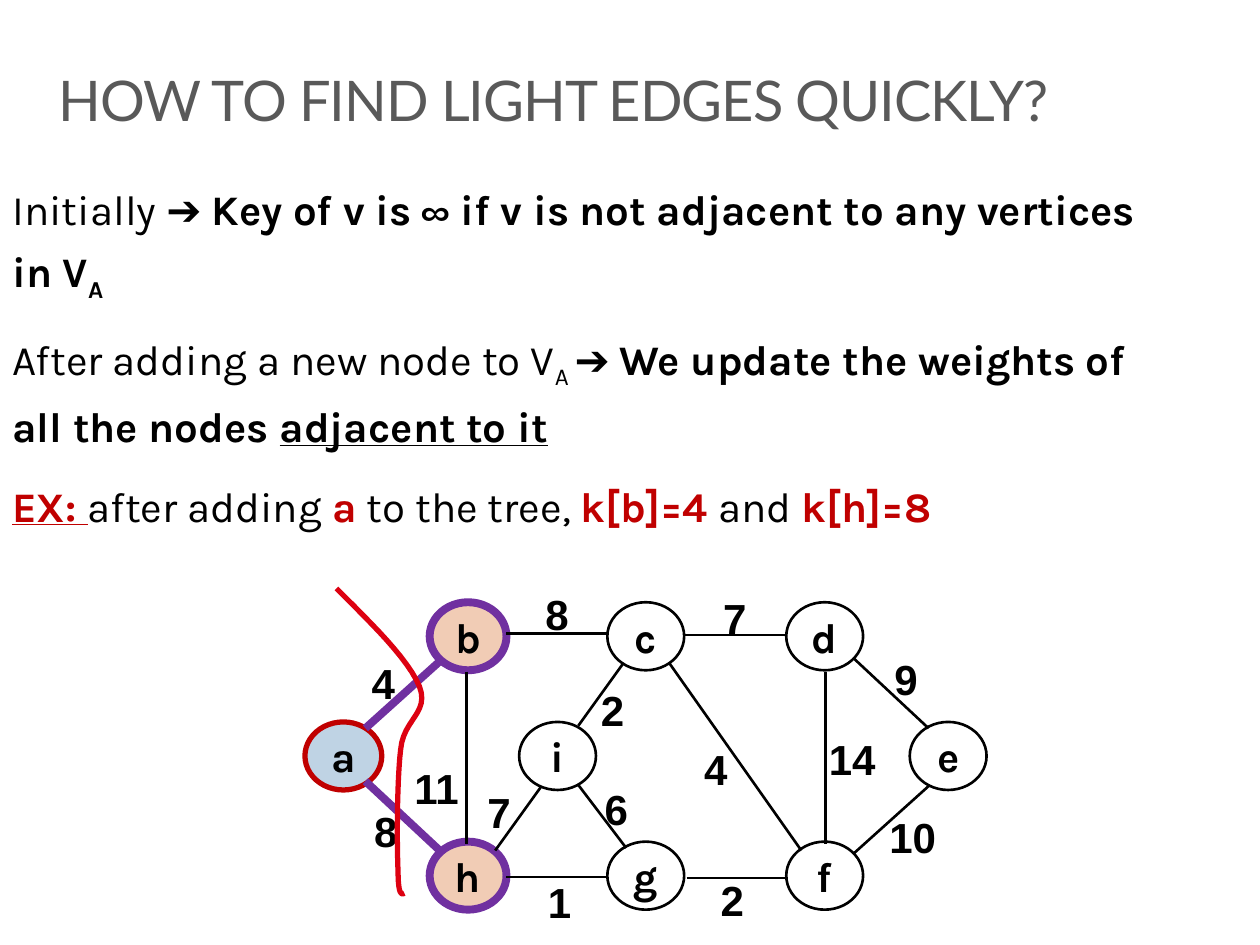
import pptx
import pptx.util
import pptx.dml.color
import pptx.enum.shapes
import pptx.enum.text
import pptx.oxml.ns
import lxml.etree

Inches, Pt = pptx.util.Inches, pptx.util.Pt

THEME = {
    "title_font": "Lato", "body_font": "Karla", "weight_font": "Arial",
    "title_size": 32, "text_size": 24,
    "title": "595959", "ink": "000000", "accent": "C00000",
    "path": "7030A0", "cut": "DD0111",
    "start_fill": "BFD3E4", "near_fill": "F1CCB5",
    "thin": 1.5, "medium": 3, "thick": 4.5,
}

TITLE = "HOW TO FIND LIGHT EDGES QUICKLY?"
BODY = [
    [("Initially ➔ ", ""),
     ("Key of v is ∞ if v is not adjacent to any vertices in V", "bold"),
     ("A", "bold sub")],
    [("After adding a new node to V", ""), ("A ", "sub"), ("➔ ", ""),
     ("We update the weights of all the nodes ", "bold"),
     ("adjacent to it", "bold under")],
    [("EX: ", "bold under accent"), ("after adding ", ""), ("a", "bold accent"),
     (" to the tree, ", ""), ("k[b]=4 ", "bold accent"), ("and ", ""),
     ("k[h]=8", "bold accent")],
]

ROWS = {"top": 4.78, "middle": 5.73, "bottom": 6.68}
NODE_SIZE = (0.61, 0.54)
NODES = [
    ("a", 2.42, "middle", "start"), ("b", 3.41, "top", "near"),
    ("c", 4.82, "top", "plain"), ("d", 6.24, "top", "plain"),
    ("e", 7.22, "middle", "plain"), ("h", 3.41, "bottom", "near"),
    ("g", 4.82, "bottom", "plain"), ("f", 6.24, "bottom", "plain"),
    ("i", 4.12, "middle", "plain"),
]
NODE_STYLES = {
    "start": ("start_fill", "accent", "medium"),
    "near": ("near_fill", "path", "thick"),
    "plain": (None, "ink", "thin"),
}
EDGE_STYLES = {"near": ("path", "thick"), "plain": ("ink", "thin")}
EDGES = [
    ((3.70, 5.33), (3.70, 6.70), "11", (3.19, 6.00), "plain"),
    ((6.55, 5.33), (6.55, 6.70), "14", (6.48, 5.77), "plain"),
    ((4.02, 5.03), (4.82, 5.03), "8", (4.23, 4.62), "plain"),
    ((5.43, 5.04), (6.23, 5.04), "7", (5.64, 4.65), "plain"),
    ((4.02, 6.96), (4.82, 6.96), "1", (4.25, 6.91), "plain"),
    ((5.45, 6.97), (6.25, 6.97), "2", (5.62, 6.89), "plain"),
    ((2.90, 5.78), (3.50, 5.24), "4", (2.85, 5.17), "near"),
    ((6.78, 6.77), (7.38, 6.23), "10", (6.96, 6.39), "plain"),
    ((6.77, 5.22), (7.37, 5.78), "9", (7.00, 5.14), "plain"),
    ((2.90, 6.20), (3.49, 6.75), "8", (2.87, 6.34), "near"),
    ((5.31, 5.26), (6.36, 6.75), "4", (5.49, 5.85), "plain"),
    ((4.59, 6.23), (4.97, 6.73), "6", (4.70, 6.17), "plain"),
    ((3.93, 6.75), (4.29, 6.25), "7", (3.77, 6.19), "plain"),
    ((4.59, 5.76), (4.95, 5.26), "2", (4.67, 5.38), "plain"),
]
WEIGHT_WIDTHS = {1: 0.39, 2: 0.57}
CUT_START = (2.67, 4.67)
CUT_CURVES = [
    ((2.95, 4.95), (3.24, 5.23), (3.33, 5.45)),
    ((3.41, 5.66), (3.20, 5.71), (3.18, 5.95)),
    ((3.15, 6.20), (3.15, 6.73), (3.16, 6.92)),
    ((3.16, 7.11), (3.19, 7.10), (3.21, 7.09)),
]
CURVE_STEPS = 12


def color(name):
    return pptx.dml.color.RGBColor.from_string(THEME[name])


def style_run(r, font, size="text_size", ink="ink", bold=False):
    r.font.name = THEME[font]
    r.font.size = Pt(THEME[size])
    r.font.color.rgb = color(ink)
    r.font.bold = bold


def style_line(s, ink, weight):
    s.line.color.rgb = color(ink)
    s.line.width = Pt(THEME[weight])


def add_text(slide, box, text="", wrap=True):
    tf = slide.shapes.add_textbox(*map(Inches, box)).text_frame
    tf.word_wrap = wrap
    tf.text = text
    return tf


def add_title(slide):
    tf = add_text(slide, (0.37, 0.11, 9, 0.99), TITLE)
    tf.vertical_anchor = pptx.enum.text.MSO_ANCHOR.BOTTOM
    r = tf.paragraphs[0].runs[0]
    style_run(r, "title_font", "title_size", "title")
    r.font._element.set("spc", "-60")


def add_body(slide):
    tf = add_text(slide, (0, 1.33, 9.33, 5.84))
    for i, parts in enumerate(BODY):
        p = tf.add_paragraph() if i else tf.paragraphs[0]
        p.line_spacing = 1.2
        p.space_before = Pt(4.8 if i else 0)
        p.space_after = Pt(6)
        for text, marks in parts:
            r = p.add_run()
            r.text = text
            style_run(r, "body_font", ink="accent" if "accent" in marks else "ink",
                      bold="bold" in marks)
            r.font.underline = "under" in marks
            if "sub" in marks:
                r.font._element.set("baseline", "-25000")


def add_node(slide, name, left, row, style):
    fill, ink, weight = NODE_STYLES[style]
    box = (left, ROWS[row], *NODE_SIZE)
    s = slide.shapes.add_shape(pptx.enum.shapes.MSO_SHAPE.OVAL, *map(Inches, box))
    s.shadow.inherit = False
    if fill:
        s.fill.solid()
        s.fill.fore_color.rgb = color(fill)
    else:
        s.fill.background()
    style_line(s, ink, weight)
    tf = s.text_frame
    tf.text = name
    tf.word_wrap = False
    tf.vertical_anchor = pptx.enum.text.MSO_ANCHOR.MIDDLE
    p = tf.paragraphs[0]
    p.alignment = pptx.enum.text.PP_ALIGN.CENTER
    style_run(p.runs[0], "body_font", bold=True)


def add_edge(slide, start, end, style):
    s = slide.shapes.add_connector(
        pptx.enum.shapes.MSO_CONNECTOR.STRAIGHT, *map(Inches, start + end))
    style_line(s, *EDGE_STYLES[style])
    lxml.etree.SubElement(s._element.spPr, pptx.oxml.ns.qn("a:effectLst"))


def add_weight(slide, text, at):
    tf = add_text(slide, (*at, WEIGHT_WIDTHS[len(text)], 0.5), text, wrap=False)
    tf.auto_size = pptx.enum.text.MSO_AUTO_SIZE.SHAPE_TO_FIT_TEXT
    style_run(tf.paragraphs[0].runs[0], "weight_font", bold=True)


def curve_points(start, c1, c2, end):
    for step in range(1, CURVE_STEPS + 1):
        t = step / CURVE_STEPS
        u = 1 - t
        yield tuple(Inches(u**3 * a + 3 * u * u * t * b + 3 * u * t * t * c + t**3 * d)
                    for a, b, c, d in zip(start, c1, c2, end))


def add_cut(slide):
    points, start = [], CUT_START
    for curve in CUT_CURVES:
        points += curve_points(start, *curve)
        start = curve[-1]
    builder = slide.shapes.build_freeform(*map(Inches, CUT_START))
    builder.add_line_segments(points, close=False)
    s = builder.convert_to_shape()
    s.shadow.inherit = False
    s.fill.background()
    style_line(s, "cut", "medium")


def main():
    prs = pptx.Presentation()
    prs.slide_width, prs.slide_height = Inches(10), Inches(7.5)
    slide = prs.slides.add_slide(prs.slide_layouts[6])
    add_title(slide)
    add_body(slide)
    for node in NODES:
        add_node(slide, *node)
    for start, end, _, _, style in EDGES:
        add_edge(slide, start, end, style)
    for _, _, weight, at, _ in EDGES:
        add_weight(slide, weight, at)
    add_cut(slide)
    prs.save("out.pptx")


if __name__ == "__main__":
    main()
